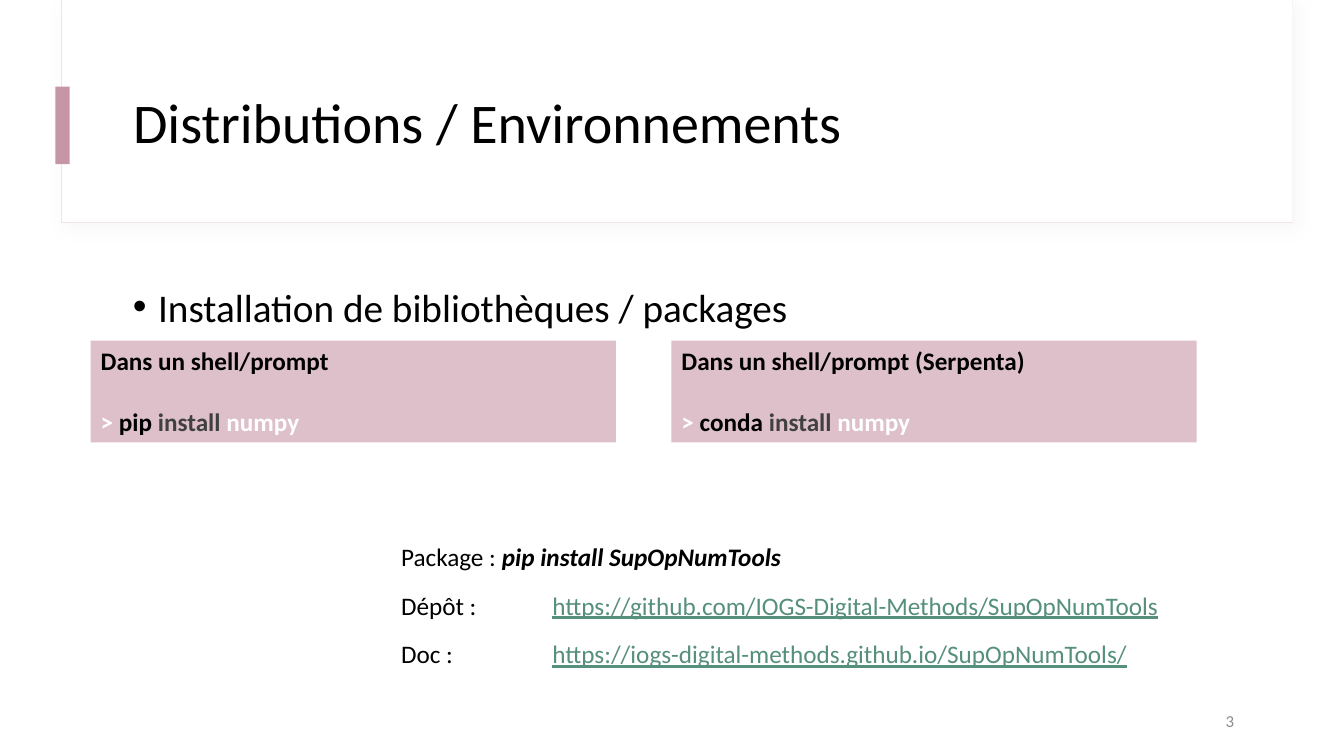
from lxml.etree import SubElement as Sub
from pptx import Presentation
from pptx.dml.color import RGBColor as RGB
from pptx.enum.shapes import MSO_SHAPE as Shape
from pptx.enum.text import MSO_ANCHOR as Anchor, PP_ALIGN as Align
from pptx.oxml.ns import qn
from pptx.util import Inches, Pt

BLACK = RGB(0x00, 0x00, 0x00)
WHITE = RGB(0xFF, 0xFF, 0xFF)
DARK = RGB(0x40, 0x40, 0x40)
GRAY = RGB(0x8C, 0x8C, 0x8C)
EDGE = RGB(0xF0, 0xE5, 0xE5)
ROSE = RGB(0xC6, 0x96, 0xA7)
PINK = RGB(0xDD, 0xC0, 0xCA)
GREEN = RGB(0x56, 0x8F, 0x7B)


def add_run(para, text, size=18, color=BLACK, bold=False, ital=False, under=False):
    run = para.add_run()
    run.text = text
    font = run.font
    font.name, font.size, font.color.rgb = "Calibri", Pt(size), color
    font.bold, font.italic, font.underline = bold, ital, under


def add_rect(slide, box, fill, line=None):
    rect = slide.shapes.add_shape(Shape.RECTANGLE, *map(Inches, box))
    rect.shadow.inherit = False
    rect.fill.solid()
    rect.fill.fore_color.rgb = fill
    if line:
        rect.line.color.rgb = line
        rect.line.width = Pt(0.75)
    else:
        rect.line.fill.background()
    return rect


def add_text(slide, box, anchor=Anchor.TOP):
    frame = slide.shapes.add_textbox(*map(Inches, box)).text_frame
    frame.word_wrap = True
    frame.vertical_anchor = anchor
    return frame.paragraphs[0]


def add_shade(shape):
    effects = shape._element.spPr.find(qn("a:effectLst"))
    shade = Sub(effects, qn("a:outerShdw"), blurRad=str(Pt(10)), dist=str(Pt(4)),
                dir=str(45 * 60000), algn="tl", rotWithShape="0")
    color = Sub(shade, qn("a:srgbClr"), val="D9D9D9")
    Sub(color, qn("a:alpha"), val="20000")


def add_head(slide, box, text):
    left, top, width, height = box
    add_shade(add_rect(slide, box, WHITE, EDGE))
    add_rect(slide, (left + 0.01, top, width - 0.01, height - 0.01), WHITE)
    add_rect(slide, (left - 0.06, top + 0.86, 0.14, 0.77), ROSE)
    title = slide.shapes.title
    title.left, title.top = Inches(left + 0.61), Inches(top + 0.6)
    title.width, title.height = Inches(width - 1.09), Inches(1.29)
    slide.shapes._spTree.append(title._element)
    frame = title.text_frame
    frame.word_wrap = True
    frame.vertical_anchor = Anchor.MIDDLE
    para = frame.paragraphs[0]
    para.alignment, para.line_spacing = Align.LEFT, 0.9
    add_run(para, text, size=40)


def add_point(slide, box, text):
    para = add_text(slide, box)
    props = para._p.get_or_add_pPr()
    props.set("marL", str(Inches(0.25)))
    props.set("indent", str(Inches(-0.25)))
    Sub(props, qn("a:buFont"), typeface="Arial")
    Sub(props, qn("a:buChar"), char="•")
    para.line_spacing = 1.1
    add_run(para, text, size=28)


def add_shell(slide, box, head, tool):
    frame = add_rect(slide, box, PINK).text_frame
    frame.word_wrap = True
    frame.vertical_anchor = Anchor.TOP
    first, code = frame.paragraphs[0], frame.add_paragraph()
    first.alignment = code.alignment = Align.LEFT
    code.space_before = Pt(22)
    add_run(first, head, bold=True)
    parts = ("> ", WHITE), (tool + " ", BLACK), ("install ", DARK), ("numpy", WHITE)
    for text, color in parts:
        add_run(code, text, color=color, bold=True)


def add_links(slide, box, rows):
    left, top, width, height = box
    step = height / len(rows)
    for i, (label, text, stop, style) in enumerate(rows):
        para = add_text(slide, (left, top + i * step, width, 0.4))
        tabs = Sub(para._p.get_or_add_pPr(), qn("a:tabLst"))
        Sub(tabs, qn("a:tab"), pos=str(Inches(stop)), algn="l")
        add_run(para, label + "\t")
        add_run(para, text, **style)


def add_page(slide, box, text):
    para = add_text(slide, box, Anchor.MIDDLE)
    para.alignment = Align.RIGHT
    add_run(para, text, size=12, color=GRAY)


def main():
    deck = Presentation()
    deck.slide_width, deck.slide_height = Inches(13.33), Inches(7.5)
    slide = deck.slides.add_slide(deck.slide_layouts[5])
    add_head(slide, (0.61, 0, 12.21, 2.21), "Distributions / Environnements")
    add_point(slide, (1.22, 2.71, 11.2, 0.65), "Installation de bibliothèques / packages")
    shells = ("Dans un shell/prompt", "pip"), ("Dans un shell/prompt (Serpenta)", "conda")
    for i, (head, tool) in enumerate(shells):
        add_shell(slide, (0.9 + i * 5.76, 3.38, 5.21, 1.01), head, tool)
    link = dict(color=GREEN, under=True)
    add_links(slide, (3.88, 5.32, 8.7, 1.45), [
        ("Package :", "pip install SupOpNumTools", 1, dict(bold=True, ital=True)),
        ("Dépôt :", "https://github.com/IOGS-Digital-Methods/SupOpNumTools", 1.5, link),
        ("Doc :", "https://iogs-digital-methods.github.io/SupOpNumTools/", 1.5, link),
    ])
    add_page(slide, (9.34, 6.95, 3, 0.4), "3")
    deck.save("out.pptx")


if __name__ == "__main__":
    main()
